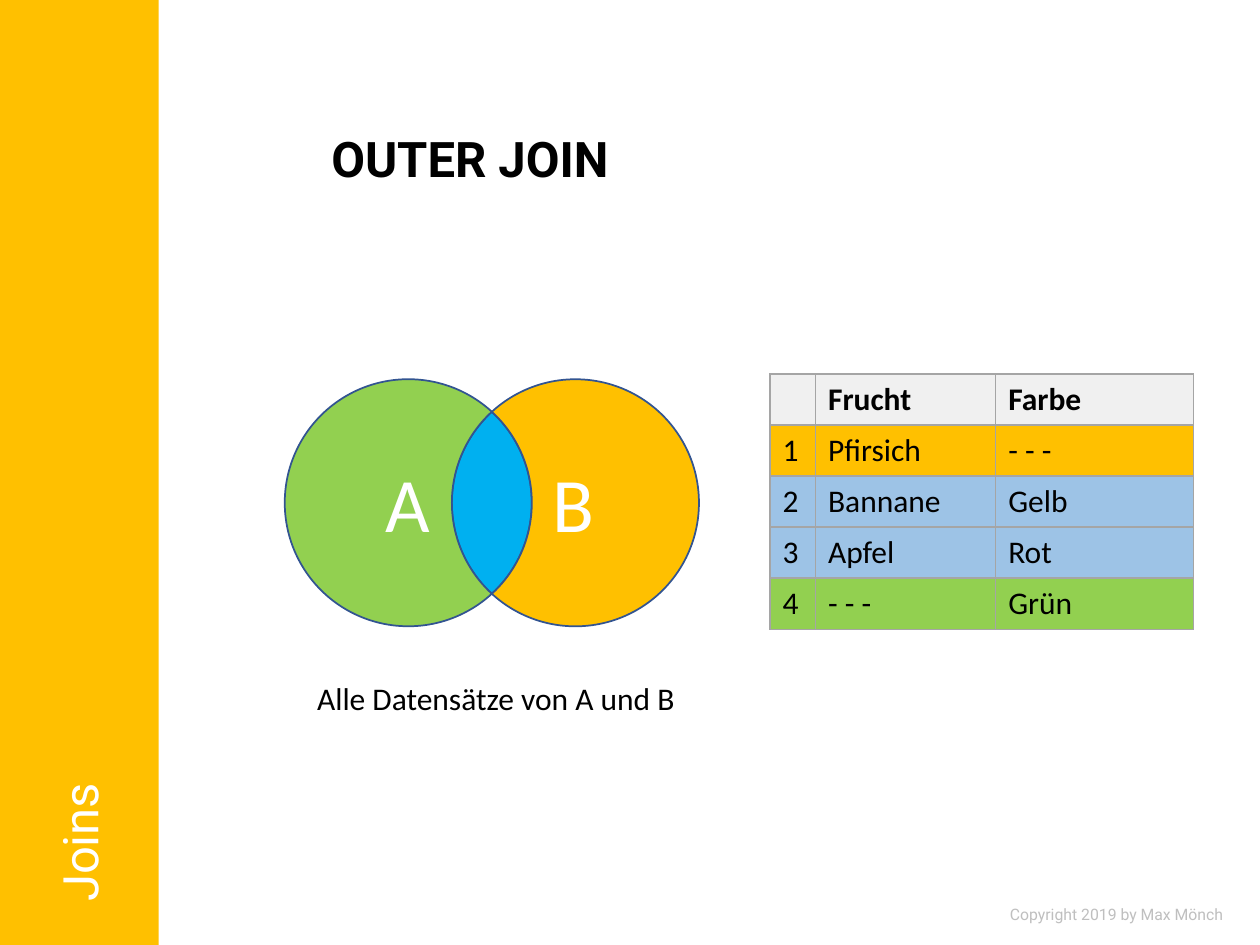
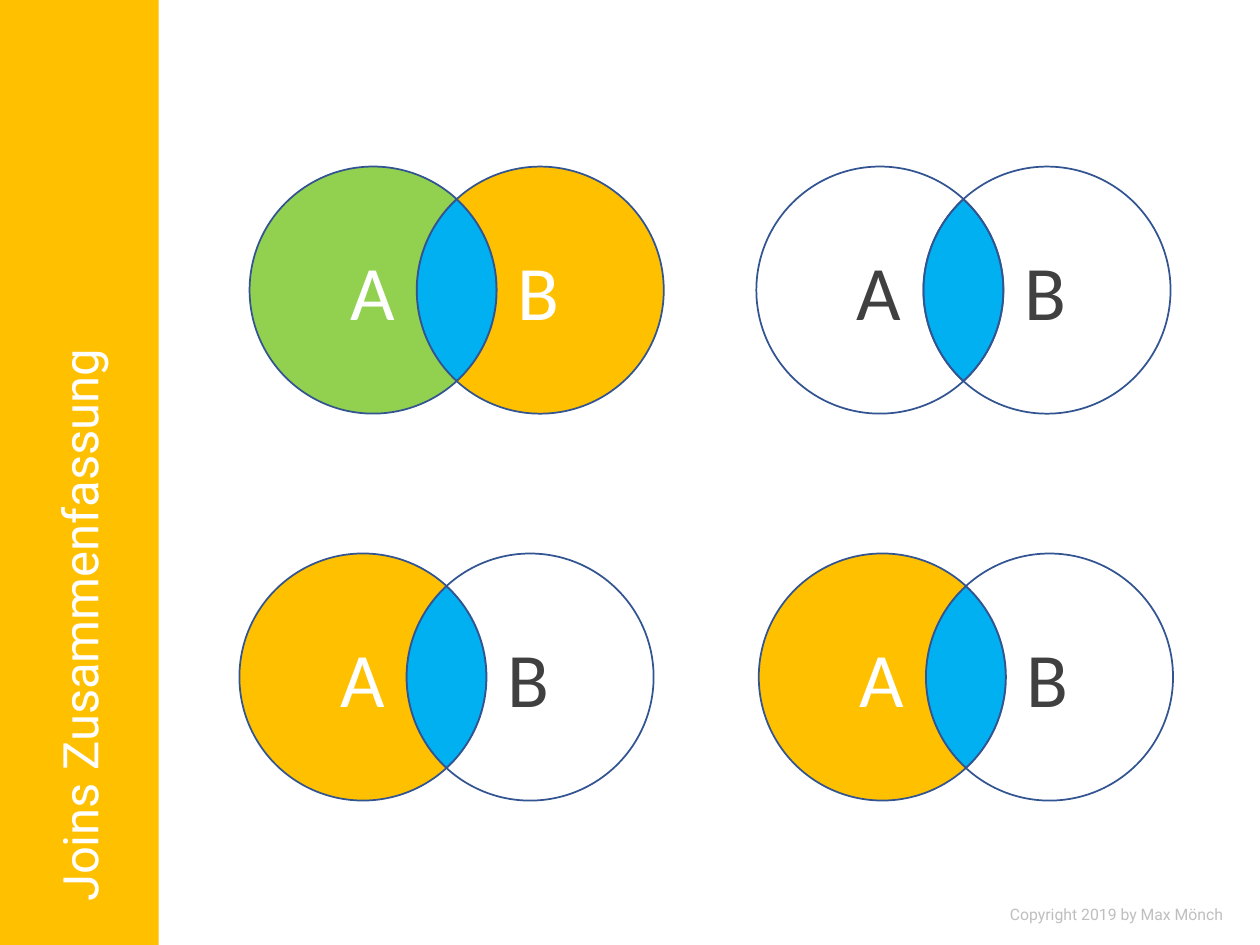
from math import acos, cos, degrees, pi, sin

from lxml import etree
from pptx import Presentation
from pptx.dml.color import RGBColor
from pptx.enum.shapes import MSO_SHAPE
from pptx.enum.text import MSO_ANCHOR, PP_ALIGN
from pptx.oxml.ns import qn
from pptx.util import Pt

RECTANGLE = MSO_SHAPE.RECTANGLE
TOP, MIDDLE = MSO_ANCHOR.TOP, MSO_ANCHOR.MIDDLE
LEFT, CENTER = PP_ALIGN.LEFT, PP_ALIGN.CENTER

COLORS = {
    "amber": "FFC000", "green": "92D050", "blue": "00B0F0", "light_blue": "9DC3E6",
    "outline": "325491", "white": "FFFFFF", "black": "000000", "dark": "404040",
    "footer": "BFBFBF", "header": "F0F0F0", "border": "A5A5A5",
}
HEADING_FONT, BODY_FONT = "Roboto", "Calibri"
SLIDE_WIDTH, SLIDE_HEIGHT = 720, 540
BAND_WIDTH = 90.72

# Venn geometry: two equal circles side by side
RADIUS = 70.6
CENTER_DISTANCE = 95.5
HALF_ANGLE = acos(CENTER_DISTANCE / 2 / RADIUS)


def color(name):
    return RGBColor.from_string(COLORS[name])


def style_font(paragraph, font_name, size, color_name, bold=False):
    font = paragraph.font
    font.name, font.size, font.bold = font_name, Pt(size), bold
    font.color.rgb = color(color_name)


def add_text(slide, box, text, font_name, size, color_name, bold=False,
             alignment=LEFT, anchor=TOP, wrap=True):
    shape = slide.shapes.add_textbox(*(Pt(length) for length in box))
    frame = shape.text_frame
    frame.word_wrap = wrap
    frame.vertical_anchor = anchor
    paragraph = frame.paragraphs[0]
    paragraph.text = text
    paragraph.alignment = alignment
    style_font(paragraph, font_name, size, color_name, bold)
    return shape


def add_frame(slide, section):
    """Side band with the vertical section name, and the footer."""
    band = slide.shapes.add_shape(RECTANGLE, 0, 0, Pt(BAND_WIDTH), Pt(SLIDE_HEIGHT))
    band.shadow.inherit = False
    band.fill.solid()
    band.fill.fore_color.rgb = color("amber")
    band.line.fill.background()

    add_text(slide, (556, 513.2, 164, 18), "Copyright 2019 by Max Mönch",
             HEADING_FONT, 9, "footer", alignment=CENTER)

    label = add_text(slide, (-246.3, 205.2, 592, 42.5), section, HEADING_FONT, 28, "white")
    label.rotation = 270
    paragraph = label.text_frame.paragraphs[0]
    paragraph.line_spacing = 0.9
    paragraph.space_before = Pt(10)


def arc_points(center, start, end):
    """Both ends of an arc and the outermost points of the circle between them."""
    low, high = sorted((start, end))
    extremes = [turn * pi / 2 for turn in range(7) if low < turn * pi / 2 < high]
    if start > end:
        extremes.reverse()
    return [(Pt(center[0] + RADIUS * cos(angle)), Pt(center[1] + RADIUS * sin(angle)))
            for angle in (start, *extremes, end)]


def add_region(slide, arcs, fill):
    """Outline of joined arcs, each given as center, start and end angle."""
    points = [point for arc in arcs for point in arc_points(*arc)]
    builder = slide.shapes.build_freeform(*points[0])
    builder.add_line_segments(points[1:], close=True)
    region = builder.convert_to_shape()

    # Turn the straight segments into true arcs
    outline = next(region._element.iter(qn("a:path")))
    for segment in outline.findall(qn("a:lnTo")):
        outline.remove(segment)
    closing = outline.find(qn("a:close"))
    for _, start, end in arcs:
        arc = etree.Element(
            qn("a:arcTo"), wR=str(Pt(RADIUS)), hR=str(Pt(RADIUS)),
            stAng=str(round(degrees(start) % 360 * 60000)),
            swAng=str(round(degrees(end - start) * 60000)))
        closing.addprevious(arc)

    region.shadow.inherit = False
    if fill:
        region.fill.solid()
        region.fill.fore_color.rgb = color(fill)
    else:
        region.fill.background()
    region.line.color.rgb = color("outline")
    region.line.width = Pt(1)


def add_venn(slide, left, top, fill_a, fill_b, text_a, text_b):
    center_a = (left + RADIUS, top + RADIUS)
    center_b = (center_a[0] + CENTER_DISTANCE, center_a[1])

    # Intersection, then the rest of A and of B
    add_region(slide, [(center_a, -HALF_ANGLE, HALF_ANGLE),
                       (center_b, pi - HALF_ANGLE, pi + HALF_ANGLE)], "blue")
    add_region(slide, [(center_a, HALF_ANGLE, 2 * pi - HALF_ANGLE),
                       (center_b, pi + HALF_ANGLE, pi - HALF_ANGLE)], fill_a)
    add_region(slide, [(center_b, pi + HALF_ANGLE, 3 * pi - HALF_ANGLE),
                       (center_a, HALF_ANGLE, -HALF_ANGLE)], fill_b)

    # Set names
    for index, (letter, text_color) in enumerate((("A", text_a), ("B", text_b))):
        box = (left + 50.4 + index * CENTER_DISTANCE, top + 40.3, 37.4, 60.5)
        add_text(slide, box, letter, BODY_FONT, 44, text_color,
                 alignment=CENTER, wrap=False)


def add_cell_borders(cell):
    properties = cell._tc.get_or_add_tcPr()
    for side in ("lnL", "lnR", "lnT", "lnB"):
        line = etree.SubElement(properties, qn(f"a:{side}"), w=str(Pt(1)))
        fill = etree.SubElement(line, qn("a:solidFill"))
        etree.SubElement(fill, qn("a:srgbClr"), val=COLORS["border"])


def add_result_table(slide, left, top, rows):
    column_widths, row_height = (26, 103, 113), 29.2
    table = slide.shapes.add_table(
        len(rows), len(column_widths), Pt(left), Pt(top),
        Pt(sum(column_widths)), Pt(row_height * len(rows))).table
    for column, width in zip(table.columns, column_widths):
        column.width = Pt(width)
    for row_index, (fill, *texts) in enumerate(rows):
        table.rows[row_index].height = Pt(row_height)
        for column_index, text in enumerate(texts):
            cell = table.cell(row_index, column_index)
            add_cell_borders(cell)
            cell.fill.solid()
            cell.fill.fore_color.rgb = color(fill)
            paragraph = cell.text_frame.paragraphs[0]
            paragraph.text = text
            style_font(paragraph, BODY_FONT, 18, "black", bold=row_index == 0)


def build_outer_join(slide):
    add_frame(slide, "Joins")
    add_text(slide, (182.2, 59.8, 489, 61), "OUTER JOIN", HEADING_FONT, 28, "black",
             bold=True, anchor=MIDDLE)
    add_venn(slide, 162.7, 216.7, "green", "amber", "white", "white")
    add_text(slide, (140.4, 384.5, 286, 29), "Alle Datensätze von A und B",
             BODY_FONT, 18, "black", alignment=CENTER)
    add_result_table(slide, 440, 213.6, [
        ("header", "", "Frucht", "Farbe"),
        ("amber", "1", "Pfirsich", "- - -"),
        ("light_blue", "2", "Bannane", "Gelb"),
        ("light_blue", "3", "Apfel", "Rot"),
        ("green", "4", "- - -", "Grün"),
    ])


def build_summary(slide):
    add_frame(slide, "Joins Zusammenfassung")
    upper, lower = 95.2, 316.3
    for venn in (
        (142.6, upper, "green", "amber", "white", "white"),
        (432.2, upper, None, None, "dark", "dark"),
        (136.8, lower, "amber", "white", "white", "dark"),
        (433.6, lower, "amber", "white", "white", "dark"),
    ):
        add_venn(slide, *venn)


def main():
    presentation = Presentation()
    presentation.slide_width, presentation.slide_height = Pt(SLIDE_WIDTH), Pt(SLIDE_HEIGHT)
    blank_layout = presentation.slide_layouts[6]
    for build in (build_outer_join, build_summary):
        build(presentation.slides.add_slide(blank_layout))
    presentation.save("out.pptx")


if __name__ == "__main__":
    main()
